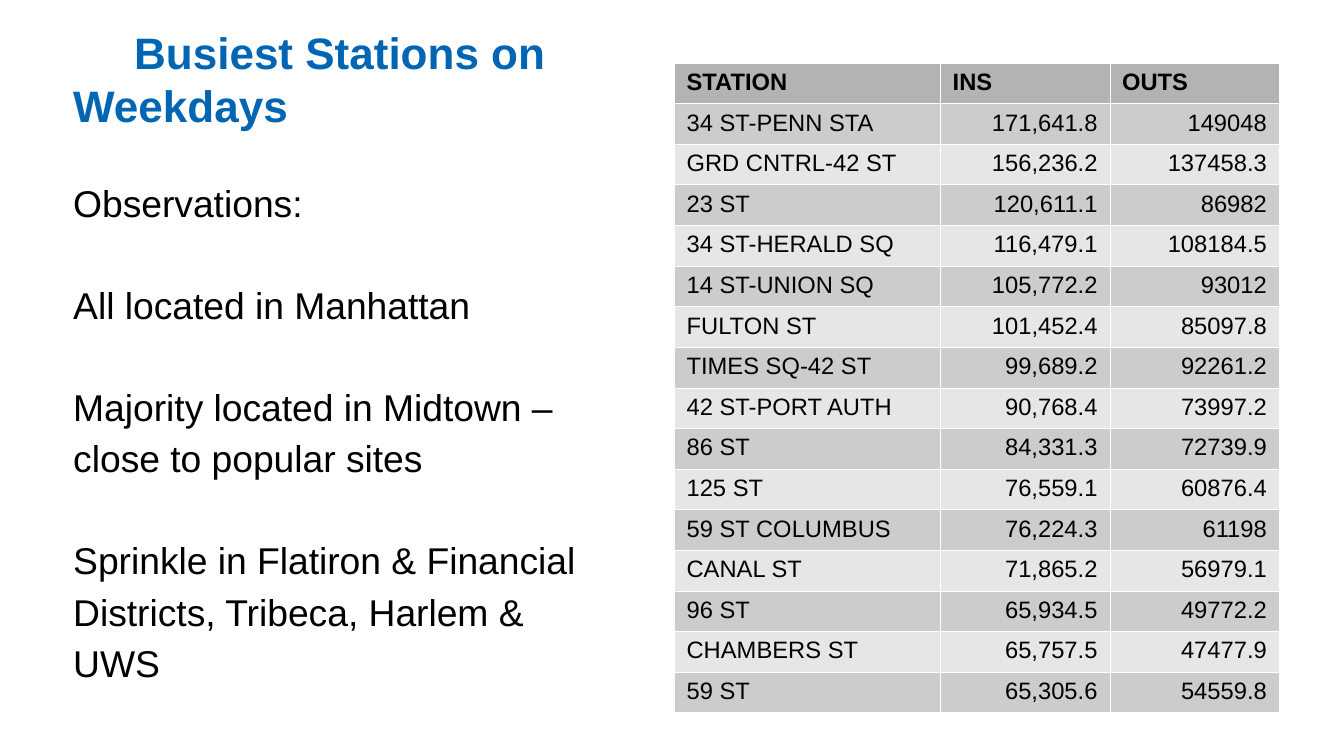
import dataclasses

import lxml.etree
import pptx
import pptx.dml.color
import pptx.enum.text
import pptx.oxml.ns
import pptx.util


@dataclasses.dataclass(frozen=True)
class Theme:
    font: str = "Arial"
    title: str = "0066B3"
    text: str = "000000"
    border: str = "FFFFFF"
    header: str = "B3B3B3"
    bands: tuple = ("CCCCCC", "E6E6E6")
    title_size: float = 26
    body_size: float = 22
    table_size: float = 14
    border_width: float = 0.06


STATIONS = [
    ("STATION", "INS", "OUTS"),
    ("34 ST-PENN STA", "171,641.8", "149048"),
    ("GRD CNTRL-42 ST", "156,236.2", "137458.3"),
    ("23 ST", "120,611.1", "86982"),
    ("34 ST-HERALD SQ", "116,479.1", "108184.5"),
    ("14 ST-UNION SQ", "105,772.2", "93012"),
    ("FULTON ST", "101,452.4", "85097.8"),
    ("TIMES SQ-42 ST", "99,689.2", "92261.2"),
    ("42 ST-PORT AUTH", "90,768.4", "73997.2"),
    ("86 ST", "84,331.3", "72739.9"),
    ("125 ST", "76,559.1", "60876.4"),
    ("59 ST COLUMBUS", "76,224.3", "61198"),
    ("CANAL ST", "71,865.2", "56979.1"),
    ("96 ST", "65,934.5", "49772.2"),
    ("CHAMBERS ST", "65,757.5", "47477.9"),
    ("59 ST", "65,305.6", "54559.8"),
]

OBSERVATIONS = [
    "Observations:",
    "All located in Manhattan",
    "Majority located in Midtown – close to popular sites",
    "Sprinkle in Flatiron & Financial Districts, Tribeca, Harlem & UWS",
]


class Deck:
    def __init__(self, theme, width, height):
        self.theme = theme
        self.prs = pptx.Presentation()
        self.prs.slide_width = pptx.util.Inches(width)
        self.prs.slide_height = pptx.util.Inches(height)
        self.s = self.prs.slides.add_slide(self.prs.slide_layouts[1])

    def box(self, left, top, width, height):
        w, h = self.prs.slide_width, self.prs.slide_height
        return [round(share * side / 100) for share, side in
                ((left, w), (top, h), (width, w), (height, h))]

    def place(self, sp, box, margin_x, margin_y, anchor):
        sp.left, sp.top, sp.width, sp.height = self.box(*box)
        tf = sp.text_frame
        tf.word_wrap = True
        tf.auto_size = pptx.enum.text.MSO_AUTO_SIZE.NONE
        tf.vertical_anchor = anchor
        tf.margin_left = tf.margin_right = pptx.util.Inches(margin_x)
        tf.margin_top = tf.margin_bottom = pptx.util.Inches(margin_y)
        return tf

    def style(self, p, size, color, bold=False):
        for r in p.runs:
            r.font.name = self.theme.font
            r.font.size = pptx.util.Pt(size)
            r.font.bold = bold
            r.font.color.rgb = pptx.dml.color.RGBColor.from_string(color)

    def indent(self, p, margin, first):
        pPr = p._p.get_or_add_pPr()
        pPr.set("marL", str(pptx.util.Inches(margin)))
        pPr.set("indent", str(pptx.util.Inches(first)))
        lxml.etree.SubElement(pPr, pptx.oxml.ns.qn("a:buNone"))

    def title(self, text, box):
        tf = self.place(self.s.shapes.title, box, 0, 0,
                        pptx.enum.text.MSO_ANCHOR.MIDDLE)
        tf.text = text
        p = tf.paragraphs[0]
        self.indent(p, 0.6, 0.5)
        p.alignment = pptx.enum.text.PP_ALIGN.LEFT
        self.style(p, self.theme.title_size, self.theme.title, True)

    def body(self, lines, box, line_spacing, gap):
        tf = self.place(self.s.placeholders[1], box, 0.1, 0.05,
                        pptx.enum.text.MSO_ANCHOR.TOP)
        tf.text = "\n".join(lines)
        for i, p in enumerate(tf.paragraphs):
            self.indent(p, 0, 0)
            p.line_spacing = line_spacing
            p.space_before = pptx.util.Pt(gap if i else 0)
            self.style(p, self.theme.body_size, self.theme.text)

    def table(self, rows, box, col_shares):
        left, top, width, height = self.box(*box)
        table = self.s.shapes.add_table(len(rows), len(col_shares),
                                        left, top, width, height).table
        for col, share in zip(table.columns, col_shares):
            col.width = round(width * share)
        for i, values in enumerate(rows):
            table.rows[i].height = round(height / len(rows))
            fill = self.theme.bands[(i - 1) % 2] if i else self.theme.header
            for j, value in enumerate(values):
                self.cell(table.cell(i, j), value, fill, i == 0, i > 0 and j > 0)

    def cell(self, cell, value, fill, bold, right):
        cell.text = value
        p = cell.text_frame.paragraphs[0]
        if right:
            p.alignment = pptx.enum.text.PP_ALIGN.RIGHT
        self.style(p, self.theme.table_size, self.theme.text, bold)
        tcPr = cell._tc.get_or_add_tcPr()
        qn = pptx.oxml.ns.qn
        for side in ("a:lnL", "a:lnR", "a:lnT", "a:lnB"):
            ln = lxml.etree.SubElement(
                tcPr, qn(side), w=str(pptx.util.Pt(self.theme.border_width)))
            solid = lxml.etree.SubElement(ln, qn("a:solidFill"))
            lxml.etree.SubElement(solid, qn("a:srgbClr"), val=self.theme.border)
        cell.fill.solid()
        cell.fill.fore_color.rgb = pptx.dml.color.RGBColor.from_string(fill)


def main():
    deck = Deck(Theme(), 11.02, 6.2)
    deck.table(STATIONS, (50.18, 8.3, 45, 85.97), (0.44, 0.28, 0.28))
    deck.body(OBSERVATIONS, (4.54, 22.1, 41.74, 65), 1.15, 30)
    deck.title("Busiest Stations on\vWeekdays", (0, 1.29, 53.9, 18.06))
    deck.prs.save("out.pptx")


if __name__ == "__main__":
    main()
